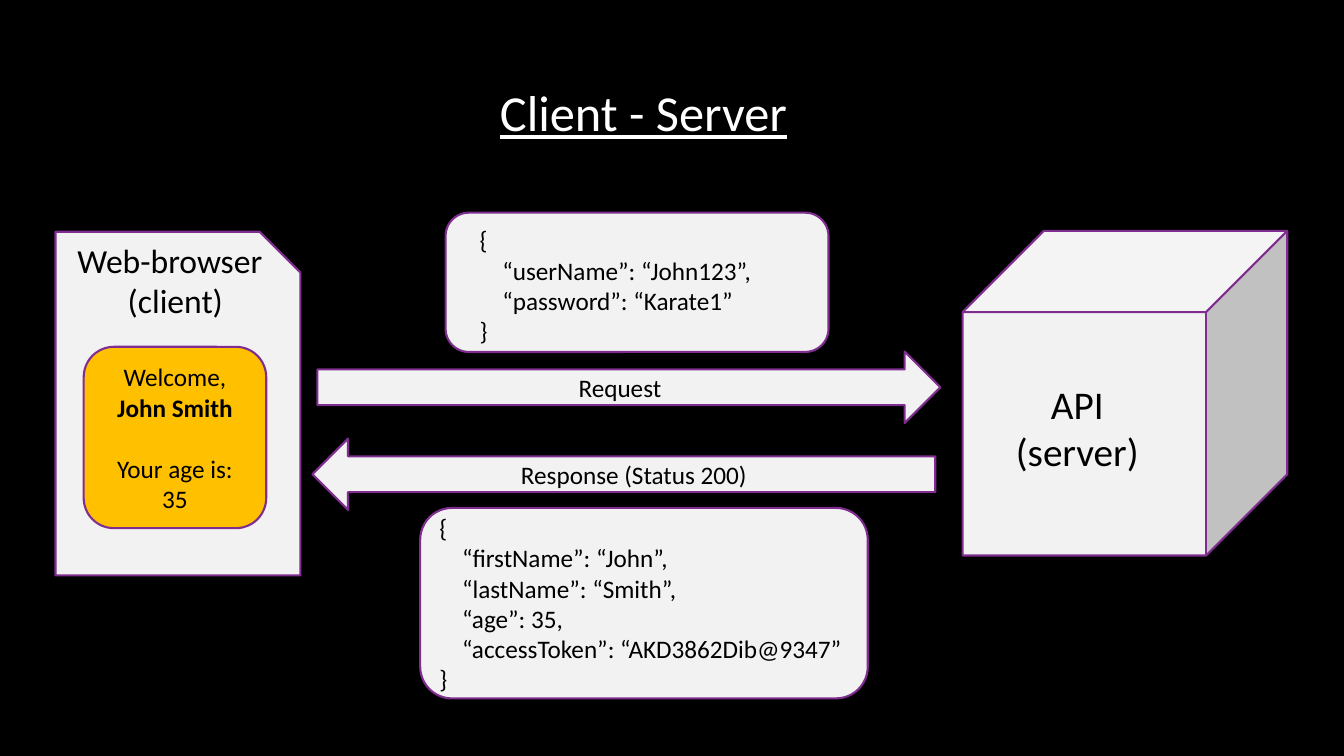
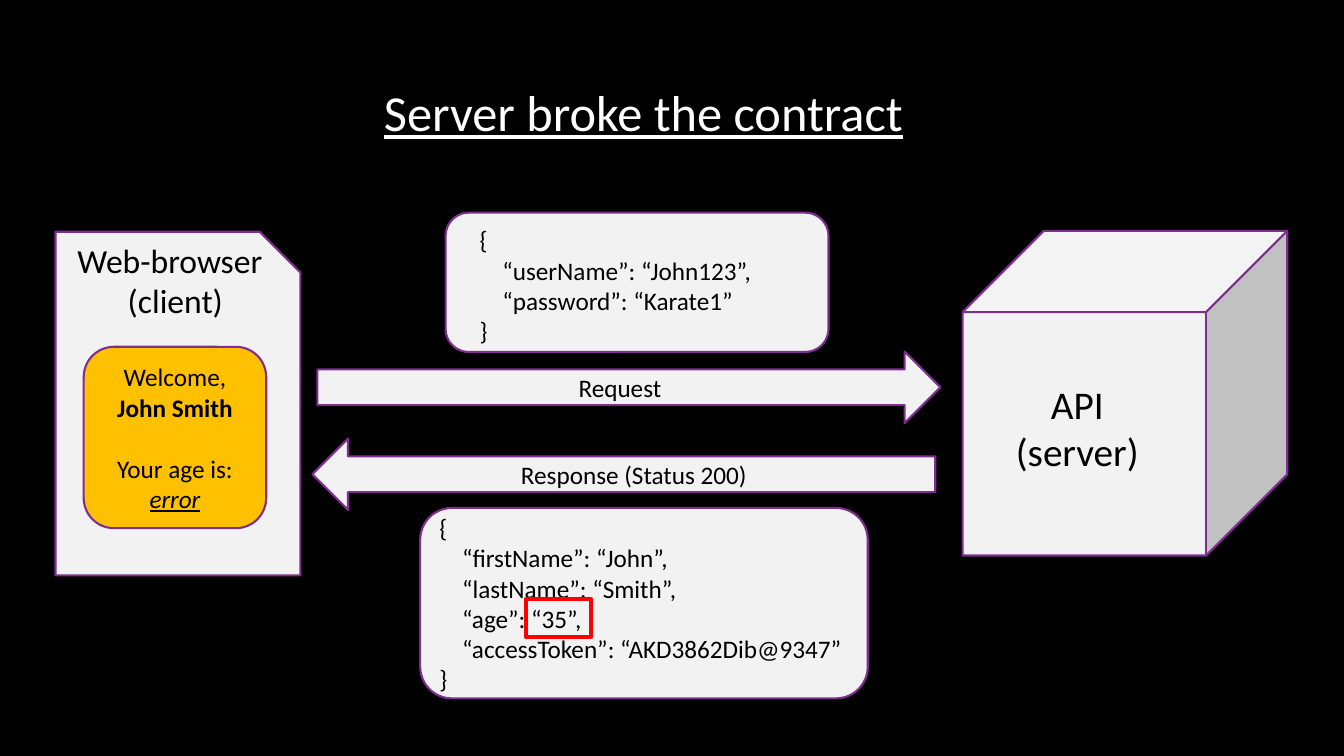
from dataclasses import dataclass

from pptx import Presentation
from pptx.dml.color import RGBColor
from pptx.enum.shapes import MSO_SHAPE
from pptx.enum.text import MSO_ANCHOR, PP_ALIGN
from pptx.util import Cm, Pt

FONT = "Calibri"
COLORS = {
    "background": "000000",
    "title": "FFFFFF",
    "text": "000000",
    "panel": "F2F2F2",
    "outline": "7F2E8F",
    "greeting": "FFC000",
    "error": "FF0000",
}
TITLE_SIZE, API_SIZE, BROWSER_SIZE, BODY_SIZE = 36, 28, 24, 18
JSON_INDENT = 0.57


@dataclass
class Line:
    """One paragraph: runs of (text, styles), indent in cm, space before in points."""
    runs: list
    indent: float = 0
    before: float = 0


def plain_lines(*texts):
    return [Line([(text, "")]) for text in texts]


def json_lines(fields):
    last = len(fields) - 1
    body = [
        Line([(f"“{key}”: {value}{',' if i < last else ''}", "")], JSON_INDENT)
        for i, (key, value) in enumerate(fields)
    ]
    return plain_lines("{") + body + plain_lines("}")


SLIDES = [
    {"title": "Client - Server", "sent_age": "35",
     "shown_age": ("35", ""), "broken": False},
    {"title": "Server broke the contract", "sent_age": "“35”",
     "shown_age": ("error", "iu"), "broken": True},
]
REQUEST_FIELDS = [("userName", "“John123”"), ("password", "“Karate1”")]
BROWSER_LABEL = [Line([("Web-browser", "")]), Line([("(client)", "")], 1.27)]

# Left, top, width, height in cm
TITLE_BOX = (8.22, 1.93, 16, 1.8)
BROWSER_PANEL = (1.4, 5.84, 6.17, 8.66)
BROWSER_TEXT = (1.7, 5.92, 6.17, 2.31)
GREETING_CARD = (2.11, 8.74, 4.6, 4.57)
API_CUBE = (24.26, 5.82, 8.18, 8.18)
API_TEXT = (24.89, 9.45, 4.52, 2.64)
REQUEST_ARROW = (8, 8.86, 15.7, 1.8)
REQUEST_CARD = (11.23, 5.36, 9.65, 3.51)
REQUEST_TEXT = (11.84, 5.54, 8.15, 3.33)
RESPONSE_ARROW = (7.87, 11.05, 15.7, 1.8)
RESPONSE_TEXT = (12.88, 11.46, 6.55, 1.02)
RESPONSE_CARD = (10.59, 12.8, 11.28, 4.8)
AGE_MARK = (13.26, 15.09, 1.63, 0.97)


def rgb(name):
    return RGBColor.from_string(COLORS[name])


def write(shape, lines, size=BODY_SIZE, align=PP_ALIGN.LEFT,
          anchor=MSO_ANCHOR.MIDDLE, color="text"):
    frame = shape.text_frame
    frame.word_wrap = True
    frame.vertical_anchor = anchor
    for i, line in enumerate(lines):
        paragraph = frame.paragraphs[0] if i == 0 else frame.add_paragraph()
        paragraph.alignment = align
        paragraph.space_before = Pt(line.before)
        if line.indent:
            paragraph._p.get_or_add_pPr().set("marL", str(int(Cm(line.indent))))
        for text, styles in line.runs:
            run = paragraph.add_run()
            run.text = text
            font = run.font
            font.name, font.size = FONT, Pt(size)
            font.color.rgb = rgb(color)
            font.bold, font.italic, font.underline = (s in styles for s in "biu")


def add_panel(shapes, preset, box, fill="panel", outline="outline", width=1.5):
    panel = shapes.add_shape(preset, *map(Cm, box))
    panel.shadow.inherit = False
    if fill:
        panel.fill.solid()
        panel.fill.fore_color.rgb = rgb(fill)
    else:
        panel.fill.background()
    panel.line.color.rgb = rgb(outline)
    panel.line.width = Pt(width)
    return panel


def add_label(shapes, box, lines, **style):
    write(shapes.add_textbox(*map(Cm, box)), lines, anchor=MSO_ANCHOR.TOP, **style)


def add_labelled(slide, preset, panel_box, text_box, lines, **style):
    """Group a panel with a text box that lies on it."""
    shapes = slide.shapes.add_group_shape().shapes
    panel = add_panel(shapes, preset, panel_box)
    add_label(shapes, text_box, lines, **style)
    return panel


def build_slide(deck, content):
    slide = deck.slides.add_slide(deck.slide_layouts[6])
    shapes = slide.shapes
    add_label(shapes, TITLE_BOX, [Line([(content["title"], "u")])],
              size=TITLE_SIZE, align=PP_ALIGN.CENTER, color="title")

    add_labelled(slide, MSO_SHAPE.SNIP_1_RECTANGLE, BROWSER_PANEL, BROWSER_TEXT,
                 BROWSER_LABEL, size=BROWSER_SIZE)
    add_labelled(slide, MSO_SHAPE.CUBE, API_CUBE, API_TEXT,
                 plain_lines("API", "(server)"), size=API_SIZE, align=PP_ALIGN.CENTER)

    request = add_panel(shapes, MSO_SHAPE.RIGHT_ARROW, REQUEST_ARROW)
    write(request, plain_lines("Request"), align=PP_ALIGN.CENTER)
    add_labelled(slide, MSO_SHAPE.ROUNDED_RECTANGLE, REQUEST_CARD, REQUEST_TEXT,
                 json_lines(REQUEST_FIELDS))

    response = add_labelled(slide, MSO_SHAPE.RIGHT_ARROW, RESPONSE_ARROW,
                            RESPONSE_TEXT, plain_lines("Response (Status 200)"))
    response.rotation = 180
    response_fields = [
        ("firstName", "“John”"),
        ("lastName", "“Smith”"),
        ("age", content["sent_age"]),
        ("accessToken", "“AKD3862Dib@9347”"),
    ]
    response_card = add_panel(shapes, MSO_SHAPE.ROUNDED_RECTANGLE, RESPONSE_CARD)
    write(response_card, json_lines(response_fields))

    greeting = add_panel(shapes, MSO_SHAPE.ROUNDED_RECTANGLE, GREETING_CARD, "greeting")
    write(greeting, [
        Line([("Welcome,", "")]),
        Line([("John Smith", "b")]),
        Line([("Your age is: ", ""), content["shown_age"]], before=22),
    ], align=PP_ALIGN.CENTER)

    if content["broken"]:
        add_panel(shapes, MSO_SHAPE.RECTANGLE, AGE_MARK,
                  fill=None, outline="error", width=3)


def main():
    deck = Presentation()
    deck.slide_width, deck.slide_height = Cm(33.87), Cm(19.05)
    background = deck.slide_master.background.fill
    background.solid()
    background.fore_color.rgb = rgb("background")
    for content in SLIDES:
        build_slide(deck, content)
    deck.save("out.pptx")


if __name__ == "__main__":
    main()
